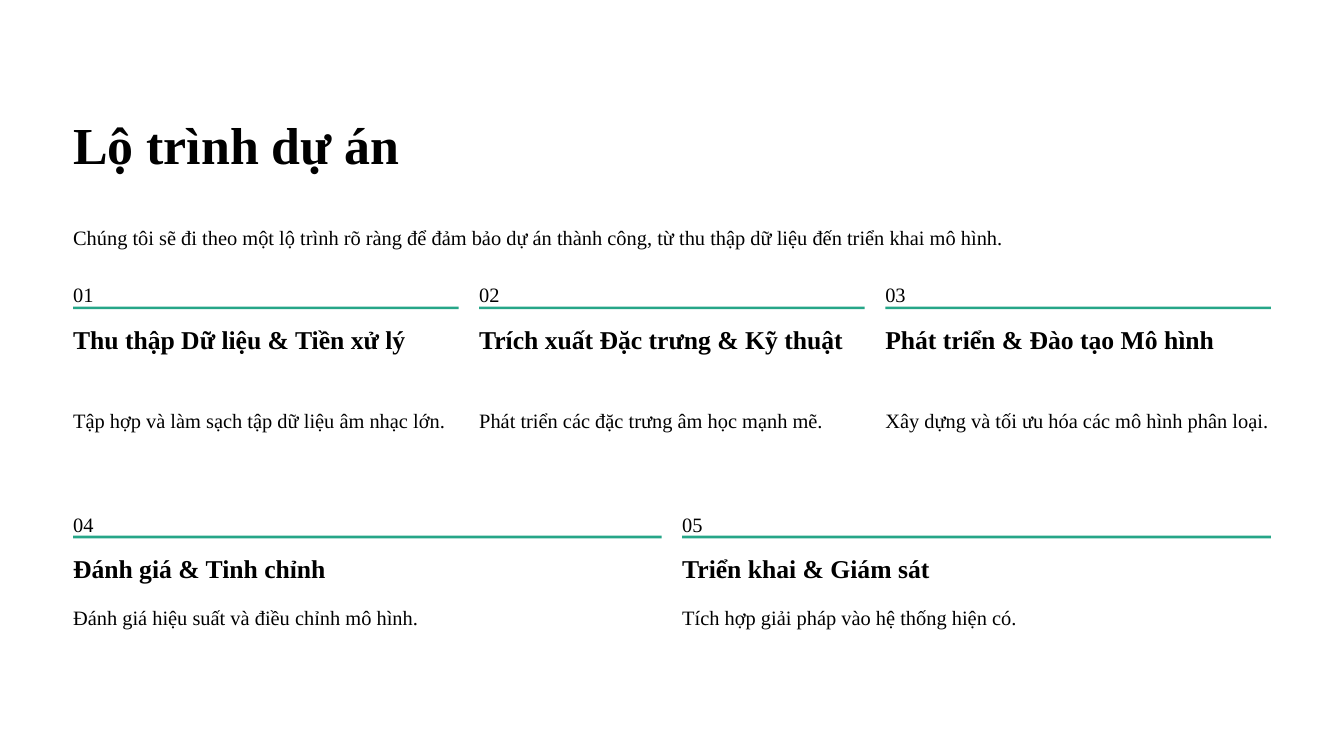
import pptx
import pptx.dml.color
import pptx.enum.shapes
import pptx.enum.text
import pptx.util

Cm = pptx.util.Cm
Pt = pptx.util.Pt

COLORS = {"background": "FFFFFF", "text": "000000", "rule": "26A688"}
FONT = "Times New Roman"

LEFT, CONTENT_WIDTH, GAP = 2.21, 36.22, 0.62
RULE_OFFSET, HEADING_OFFSET = 0.99, 1.47

deck = pptx.Presentation()
deck.slide_width = Cm(40.64)
deck.slide_height = Cm(22.86)
slide = deck.slides.add_slide(deck.slide_layouts[5])
slide.background.fill.solid()
slide.background.fill.fore_color.rgb = pptx.dml.color.RGBColor.from_string(COLORS["background"])


def write(text, *, left, top, width, height, size=17.5, spacing=28.5, bold=False, holder=None):
    """Place text in a new text box, or in the given placeholder."""
    if holder is None:
        holder = slide.shapes.add_textbox(0, 0, 0, 0)
    holder.left, holder.top = Cm(left), Cm(top)
    holder.width, holder.height = Cm(width), Cm(height)
    frame = holder.text_frame
    frame.margin_left = frame.margin_top = frame.margin_right = frame.margin_bottom = 0
    frame.word_wrap = True
    frame.auto_size = pptx.enum.text.MSO_AUTO_SIZE.NONE
    frame.vertical_anchor = pptx.enum.text.MSO_ANCHOR.TOP
    frame.text = text
    paragraph = frame.paragraphs[0]
    paragraph.alignment = pptx.enum.text.PP_ALIGN.LEFT
    paragraph.line_spacing = Pt(spacing)
    font = paragraph.runs[0].font
    font.name, font.size, font.bold = FONT, Pt(size), bold
    font.color.rgb = pptx.dml.color.RGBColor.from_string(COLORS["text"])


# Title and introduction
write("Lộ trình dự án", left=LEFT, top=3.33, width=15.75, height=1.98,
      size=44.5, spacing=55.5, bold=True, holder=slide.shapes.title)
write("Chúng tôi sẽ đi theo một lộ trình rõ ràng để đảm bảo dự án thành công, "
      "từ thu thập dữ liệu đến triển khai mô hình.",
      left=LEFT, top=6.55, width=CONTENT_WIDTH, height=1.02)

# Roadmap rows: top, heading height, body offset, body height, steps
rows = [
    (8.28, 1.98, 3.81, 2.01, [
        ("Thu thập Dữ liệu & Tiền xử lý", "Tập hợp và làm sạch tập dữ liệu âm nhạc lớn."),
        ("Trích xuất Đặc trưng & Kỹ thuật", "Phát triển các đặc trưng âm học mạnh mẽ."),
        ("Phát triển & Đào tạo Mô hình", "Xây dựng và tối ưu hóa các mô hình phân loại."),
    ]),
    (15.21, 0.99, 2.82, 1.02, [
        ("Đánh giá & Tinh chỉnh", "Đánh giá hiệu suất và điều chỉnh mô hình."),
        ("Triển khai & Giám sát", "Tích hợp giải pháp vào hệ thống hiện có."),
    ]),
]

step_number = 0
for top, heading_height, body_offset, body_height, steps in rows:
    step_width = (CONTENT_WIDTH - GAP * (len(steps) - 1)) / len(steps)
    for column, (heading, body) in enumerate(steps):
        step_number += 1
        left = LEFT + column * (step_width + GAP)
        write(f"{step_number:02d}", left=left, top=top, width=0.64, height=0.79)

        # Green rule under the number
        rule = slide.shapes.add_shape(
            pptx.enum.shapes.MSO_SHAPE.RECTANGLE,
            Cm(left), Cm(top + RULE_OFFSET), Cm(step_width), Cm(0.08))
        rule.shadow.inherit = False
        rule.fill.solid()
        rule.fill.fore_color.rgb = pptx.dml.color.RGBColor.from_string(COLORS["rule"])
        rule.line.fill.background()

        write(heading, left=left, top=top + HEADING_OFFSET, width=step_width,
              height=heading_height, size=22, spacing=27.5, bold=True)
        write(body, left=left, top=top + body_offset, width=step_width, height=body_height)

deck.save("out.pptx")
